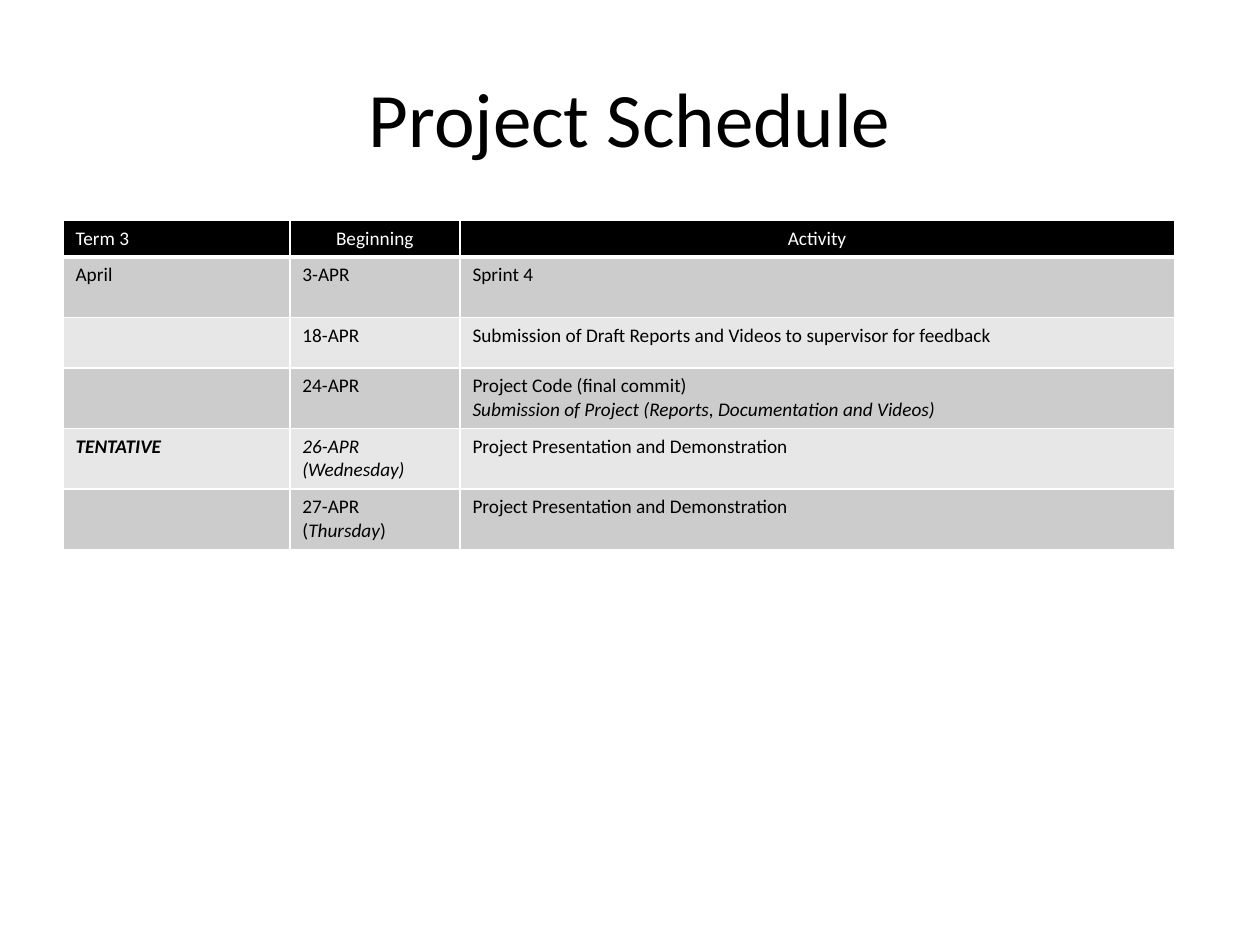
from dataclasses import dataclass

from lxml import etree
from pptx import Presentation
from pptx.dml.color import RGBColor
from pptx.enum import text
from pptx.oxml import ns
from pptx.util import Emu, Inches, Pt

BLACK = RGBColor(0x00, 0x00, 0x00)
WHITE = RGBColor(0xFF, 0xFF, 0xFF)
DARK = RGBColor(0xCC, 0xCC, 0xCC)
LIGHT = RGBColor(0xE7, 0xE7, 0xE7)
FONT = "Calibri"
WIDTH, HEIGHT = Inches(10), Inches(7.5)
COLS = (1.8, 1.35, 5.67)
HEAD = ("Term 3", "Beginning", "Activity")


@dataclass(frozen=True)
class Event:
    term: str
    date: str
    task: str
    high: float = 0.48
    bold: bool = False


EVENTS = (
    Event("April", "3-APR", "Sprint 4"),
    Event("", "18-APR",
          "Submission of Draft Reports and Videos to supervisor for feedback", 0.4),
    Event("", "24-APR", "Project Code (final commit)\n"
          "_Submission of Project (Reports, Documentation and Videos)_"),
    Event("_TENTATIVE_", "_26-APR (Wednesday)_",
          "Project Presentation and Demonstration", bold=True),
    Event("", "27-APR (_Thursday_)", "Project Presentation and Demonstration"),
)


def share(size: int, part: float) -> Emu:
    return Emu(round(size * part))


def write(frame, words: str, size: float, color: RGBColor,
          align=text.PP_ALIGN.LEFT, bold: bool = False) -> None:
    frame.text = "\n" * words.count("\n")
    for para, line in zip(frame.paragraphs, words.split("\n")):
        para.alignment = align
        for i, part in enumerate(line.split("_")):
            if part:
                run = para.add_run()
                run.text = part
                run.font.name = FONT
                run.font.size = Pt(size)
                run.font.color.rgb = color
                run.font.bold = bold
                run.font.italic = i % 2 == 1


def edge(cell, low: float) -> None:
    props = cell._tc.get_or_add_tcPr()
    sides = {"lnL": 1, "lnR": 1, "lnT": 1, "lnB": low}
    for i, (tag, width) in enumerate(sides.items()):
        line = etree.Element(ns.qn(f"a:{tag}"), w=str(Pt(width)))
        fill = etree.SubElement(line, ns.qn("a:solidFill"))
        etree.SubElement(fill, ns.qn("a:srgbClr"), val=str(WHITE))
        props.insert(i, line)


def paint(cell, fill: RGBColor, low: float = 1) -> None:
    cell.fill.solid()
    cell.fill.fore_color.rgb = fill
    edge(cell, low)


def title(slide) -> None:
    box = slide.shapes.add_textbox(share(WIDTH, 0.05), share(HEIGHT, 0.04),
                                   share(WIDTH, 0.9), Inches(1.25))
    frame = box.text_frame
    frame.word_wrap = True
    frame.vertical_anchor = text.MSO_ANCHOR.MIDDLE
    write(frame, "Project Schedule", 44, BLACK, text.PP_ALIGN.CENTER)


def plan(slide) -> None:
    highs = (0.29, *(event.high for event in EVENTS))
    table = slide.shapes.add_table(
        len(highs), len(COLS), share(WIDTH, 0.05), Inches(1.75),
        Inches(sum(COLS)), Inches(sum(highs))).table
    table.horz_banding = False
    for col, width in zip(table.columns, COLS):
        col.width = Inches(width)
    for row, high in zip(table.rows, highs):
        row.height = Inches(high)
    for c, words in enumerate(HEAD):
        cell = table.cell(0, c)
        align = text.PP_ALIGN.CENTER if c else text.PP_ALIGN.LEFT
        write(cell.text_frame, words, 11, WHITE, align)
        paint(cell, BLACK, 3)
    for r, event in enumerate(EVENTS, 1):
        for c, words in enumerate((event.term, event.date, event.task)):
            cell = table.cell(r, c)
            write(cell.text_frame, words, 11, BLACK, bold=event.bold and c == 0)
            paint(cell, DARK if r % 2 else LIGHT)


def main() -> None:
    deck = Presentation()
    deck.slide_width, deck.slide_height = WIDTH, HEIGHT
    slide = deck.slides.add_slide(deck.slide_layouts[6])
    title(slide)
    plan(slide)
    deck.save("out.pptx")


if __name__ == "__main__":
    main()
